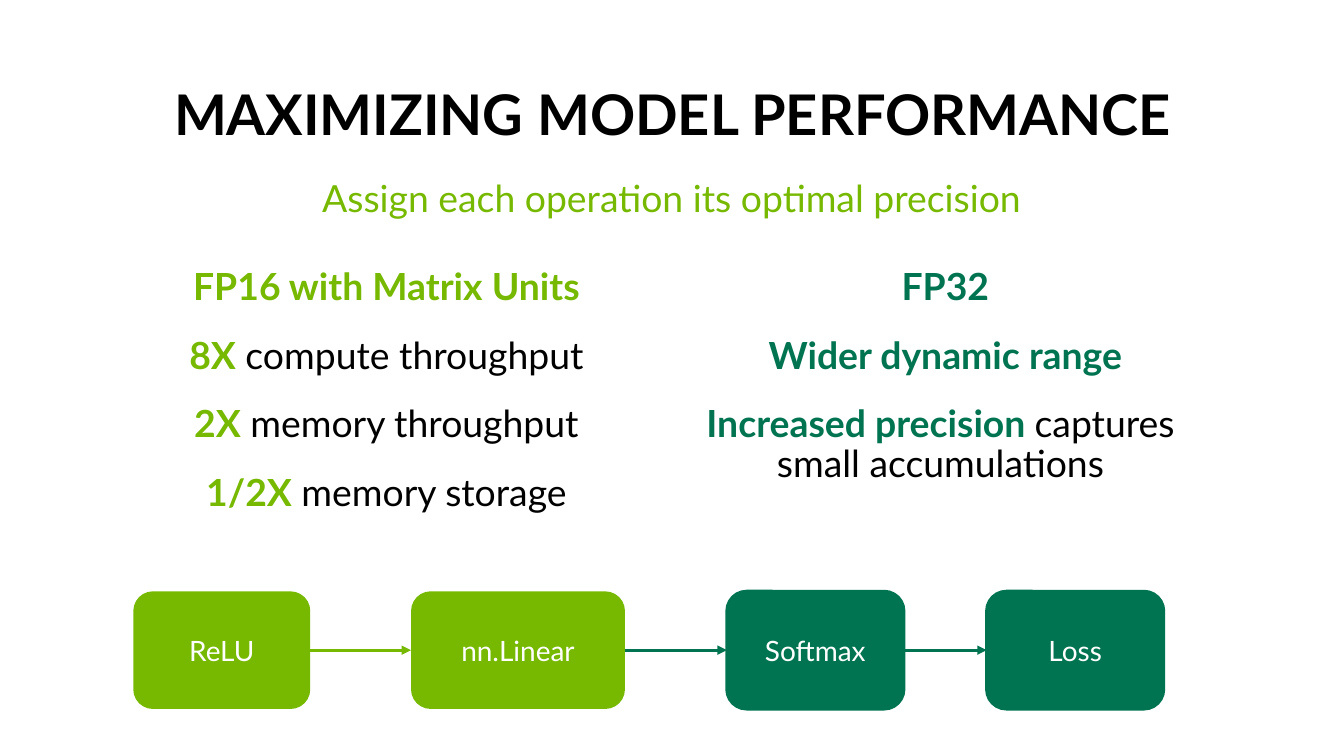
from lxml.etree import SubElement
from pptx import Presentation
from pptx.dml.color import RGBColor
from pptx.enum.shapes import MSO_CONNECTOR as CONN, MSO_SHAPE as SHAPE
from pptx.enum.text import MSO_ANCHOR as ANCHOR, PP_ALIGN as ALIGN
from pptx.oxml.ns import qn
from pptx.util import Inches, Pt

WIDTH, HEIGHT = Inches(12), Inches(6.75)
COLS, ROWS = 240, 135
FONT = "Lato"
LIME = RGBColor(0x76, 0xB9, 0x00)
GREEN = RGBColor(0x00, 0x74, 0x50)
BLACK = RGBColor(0, 0, 0)
WHITE = RGBColor(255, 255, 255)

COLUMN_TOP, COLUMN_W, COLUMN_H = 47, 103.6, 69
FP16_LINES = [("FP16 with Matrix Units", ""), ("8X", " compute throughput"),
              ("2X", " memory throughput"), ("1/2X", " memory storage")]
FP32_LINES = [("FP32", ""), ("Wider dynamic range", ""),
              ("Increased precision ", "captures \nsmall accumulations ")]

CHAIN_LEFT, CHAIN_TOP, CHAIN_H = 23.8, 105.6, 21
CHAIN = [("ReLU", LIME, 31.6, 18), ("nn.Linear", LIME, 38.2, 18.2),
         ("Softmax", GREEN, 31.6, 14.8), ("Loss", GREEN, 31.6, 0)]


def x(cols):
    return round(WIDTH * cols / COLS)


def y(rows):
    return round(HEIGHT * rows / ROWS)


def style(p, size, color, bold=False):
    p.alignment = ALIGN.CENTER
    p.font.name, p.font.size, p.font.bold = FONT, Pt(size), bold
    p.font.color.rgb = color


def add_box(slide, left, top, width, height, anchor=ANCHOR.TOP):
    tf = slide.shapes.add_textbox(x(left), y(top), x(width), y(height)).text_frame
    tf.word_wrap, tf.vertical_anchor = True, anchor
    return tf


def add_heading(slide, text, area, size, color, bold=False, anchor=ANCHOR.TOP):
    p = add_box(slide, *area, anchor).paragraphs[0]
    p.text, p.line_spacing = text, 0.9
    style(p, size, color, bold)


def add_column(slide, left, lines, color):
    tf = add_box(slide, left, COLUMN_TOP, COLUMN_W, COLUMN_H)
    for i, (lead, rest) in enumerate(lines):
        p = tf.add_paragraph() if i else tf.paragraphs[0]
        p.line_spacing, p.space_after = 0.9, Pt(9)
        p.space_before = Pt(9 if i else 0)
        style(p, 24, color, True)
        p.add_run().text = lead
        for j, part in enumerate(rest.split("\n") if rest else []):
            if j:
                p.add_line_break()
            r = p.add_run()
            r.text, r.font.bold = part, False
            r.font.color.rgb = BLACK


def add_operation(slide, text, left, width, color):
    sp = slide.shapes.add_shape(SHAPE.ROUNDED_RECTANGLE, x(left), y(CHAIN_TOP),
                                x(width), y(CHAIN_H))
    sp.shadow.inherit = False
    sp.fill.solid()
    sp.fill.fore_color.rgb = color
    if color == GREEN:
        sp.line.color.rgb, sp.line.width = color, Pt(2)
    else:
        sp.line.fill.background()
    tf = sp.text_frame
    tf.vertical_anchor = ANCHOR.MIDDLE
    tf.text = text
    style(tf.paragraphs[0], 18, WHITE)


def add_arrow(slide, start, end, color):
    mid = y(CHAIN_TOP + CHAIN_H / 2)
    cn = slide.shapes.add_connector(CONN.STRAIGHT, x(start), mid, x(end), mid)
    cn.line.color.rgb, cn.line.width = color, Pt(2)
    pr = cn.element.spPr
    SubElement(pr.find(qn("a:ln")), qn("a:tailEnd"), type="triangle")
    SubElement(pr, qn("a:effectLst"))


def add_chain(slide):
    left = CHAIN_LEFT
    for i, (text, color, width, gap) in enumerate(CHAIN):
        add_operation(slide, text, left, width, color)
        left += width + gap
        if gap:
            add_arrow(slide, left - gap, left, CHAIN[i + 1][1])


def main():
    """Build the slide on mixed-precision operations and save it."""
    prs = Presentation()
    prs.slide_width, prs.slide_height = WIDTH, HEIGHT
    slide = prs.slides.add_slide(prs.slide_layouts[6])
    add_heading(slide, "MAXIMIZING MODEL PERFORMANCE", (11, 14.4, 218.2, 13),
                36, BLACK, True, ANCHOR.BOTTOM)
    add_heading(slide, "Assign each operation its optimal precision",
                (26.8, 31.2, 186.2, 11.4), 24, LIME)
    add_column(slide, 17.2, FP16_LINES, LIME)
    add_column(slide, 117, FP32_LINES, GREEN)
    add_chain(slide)
    prs.save("out.pptx")


if __name__ == "__main__":
    main()
